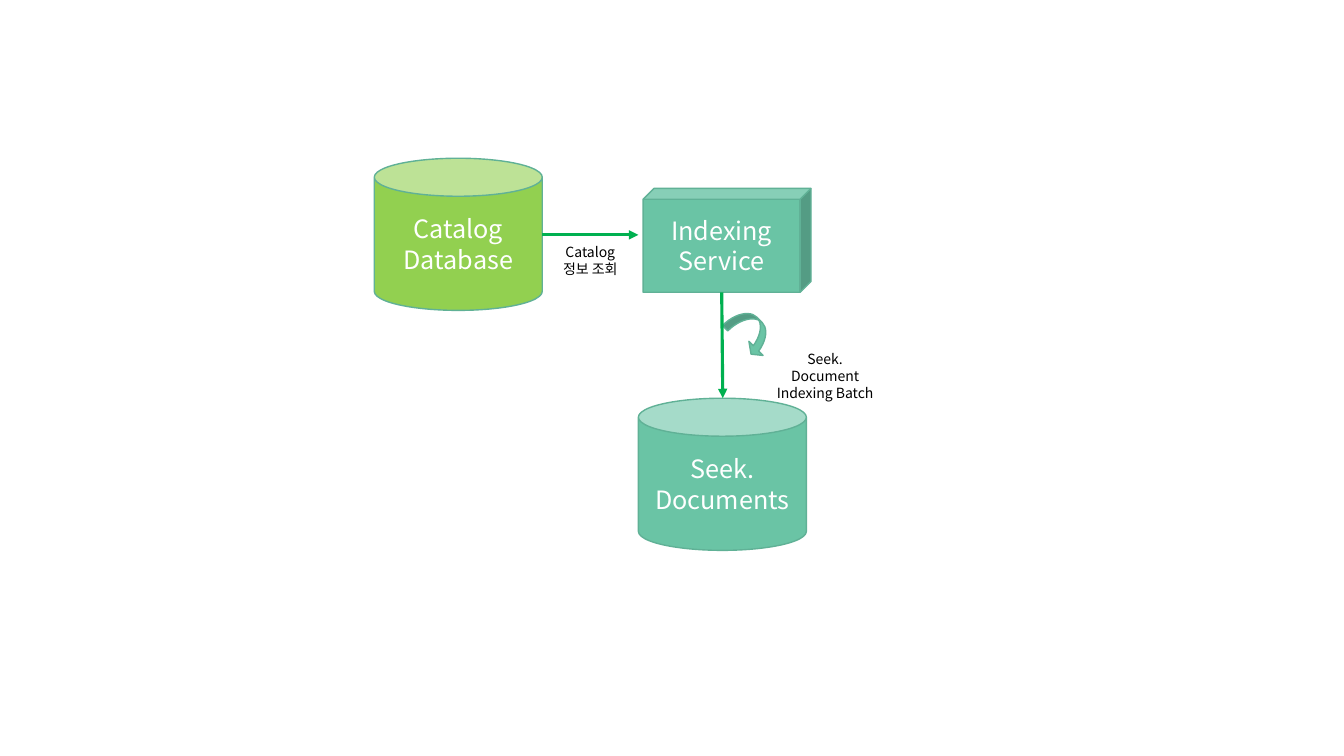
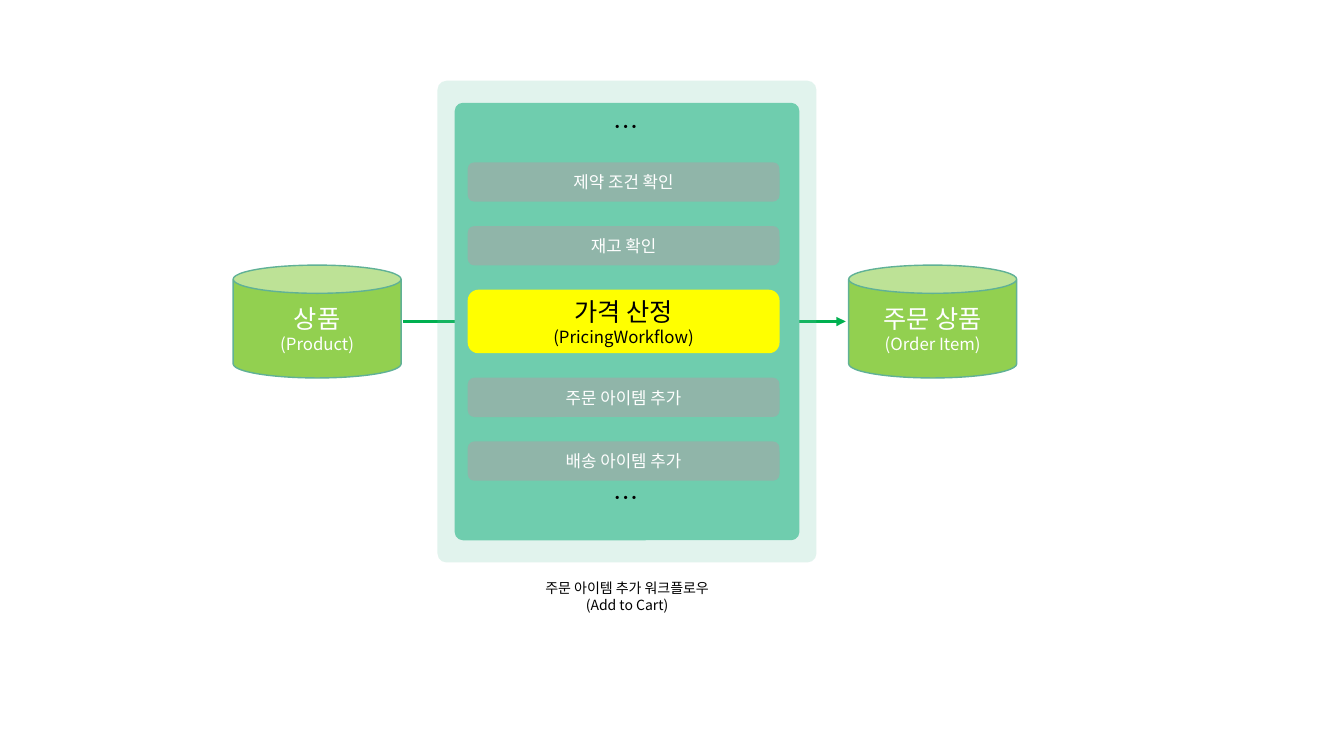
from lxml import etree
from pptx import Presentation
from pptx.dml.color import RGBColor
from pptx.enum.shapes import MSO_CONNECTOR, MSO_SHAPE
from pptx.enum.text import MSO_ANCHOR, MSO_AUTO_SIZE, PP_ALIGN
from pptx.oxml.ns import qn
from pptx.util import Inches, Pt

CAN = MSO_SHAPE.CAN
CUBE = MSO_SHAPE.CUBE
ROUND = MSO_SHAPE.ROUNDED_RECTANGLE
CURVED = MSO_SHAPE.CURVED_LEFT_ARROW
STRAIGHT = MSO_CONNECTOR.STRAIGHT
CENTER, LEFT = PP_ALIGN.CENTER, PP_ALIGN.LEFT
MIDDLE = MSO_ANCHOR.MIDDLE
FIT = MSO_AUTO_SIZE.SHAPE_TO_FIT_TEXT

FONT = "Noto Sans CJK KR"
TEAL, LIME, PANEL, EDGE = "6AC4A5", "92D050", "6FCDAE", "60B196"
GREEN, GRAY, YELLOW = "00B050", "A6A6A6", "FFFF00"
WHITE, BLACK = "FFFFFF", "000000"
rgb = RGBColor.from_string

prs = Presentation()
prs.slide_width, prs.slide_height = Inches(13.33), Inches(7.5)
COL, ROW = prs.slide_width / 100, prs.slide_height / 100


def add_item(s, kind, box, lines=(), fill=None, edge=None, color=WHITE,
             alpha=None, adj=(), align=CENTER):
    x, y, w, h = box
    frame = int(x * COL), int(y * ROW), int(w * COL), int(h * ROW)
    if kind is None:
        sp = s.shapes.add_textbox(*frame)
        sp.text_frame.word_wrap = False
        sp.text_frame.auto_size = FIT
    else:
        sp = s.shapes.add_shape(kind, *frame)
        sp.shadow.inherit = False
        for i, value in enumerate(adj):
            sp.adjustments[i] = value
        sp.fill.solid()
        sp.fill.fore_color.rgb = rgb(fill)
        if alpha:
            clr = sp._element.spPr.find(qn("a:solidFill"))[0]
            etree.SubElement(clr, qn("a:alpha"), val=str(alpha * 1000))
        if edge:
            sp.line.color.rgb = rgb(edge)
            sp.line.width = Pt(1)
        else:
            sp.line.fill.background()
        sp.text_frame.vertical_anchor = MIDDLE
    tf = sp.text_frame
    for i, (text, size) in enumerate(lines):
        p = tf.add_paragraph() if i else tf.paragraphs[0]
        p.alignment = align
        r = p.add_run()
        r.text = text
        r.font.size = Pt(size)
        r.font.name = FONT
        r.font.color.rgb = rgb(color)
        etree.SubElement(r.font._element, qn("a:ea"), typeface=FONT)
    return sp


def add_arrow(s, x1, y1, x2, y2):
    line = s.shapes.add_connector(STRAIGHT, int(x1 * COL), int(y1 * ROW),
                                  int(x2 * COL), int(y2 * ROW))
    line.line.color.rgb = rgb(GREEN)
    line.line.width = Pt(2.25)
    etree.SubElement(line.line._get_or_add_ln(), qn("a:tailEnd"), type="triangle")
    etree.SubElement(line._element.spPr, qn("a:effectLst"))


blank = prs.slide_layouts[6]
NODE_W = 12.5

s = prs.slides.add_slide(blank)
loop = add_item(s, CURVED, (54.75, 40.67, 2.25, 6.67), fill=TEAL, edge=EDGE,
                adj=(0.25, 0.66, 0.25))
loop.rotation = 315
for kind, x, y, h, fill, adj, words in (
    (CAN, 47.5, 52.67, 20.13, TEAL, (), ("Seek.", "Documents")),
    (CUBE, 47.85, 24.93, 13.73, TEAL, (0.105,), ("Indexing", "Service")),
    (CAN, 27.85, 20.93, 20.13, LIME, (), ("Catalog", "Database")),
):
    add_item(s, kind, (x, y, NODE_W, h), [(word, 18) for word in words],
             fill, EDGE, adj=adj)
add_arrow(s, 53.7, 38.67, 53.78, 52.67)
add_arrow(s, 40.35, 31.07, 47.5, 31.07)
for x, y, w, words in (
    (56.85, 45.73, 9.08, ("Seek. Document", "Indexing Batch")),
    (41.03, 31.6, 5.78, ("Catalog", "정보 조회")),
):
    add_item(s, None, (x, y, w, 5.87), [(word, 10) for word in words], color=BLACK)

s = prs.slides.add_slide(blank)
for x, name, label in ((17.35, "상품", "(Product)"), (63.15, "주문 상품", "(Order Item)")):
    add_item(s, CAN, (x, 35.07, NODE_W, 14.93), [(name, 18), (label, 12)], LIME, EDGE)
add_arrow(s, 30, 42.53, 62.93, 42.53)
add_item(s, None, (39.53, 76, 14.25, 5.87),
         [("주문 아이템 추가 워크플로우", 10), ("(Add to Cart)", 10)], color=BLACK)
add_item(s, ROUND, (32.55, 10.67, 28.2, 63.73), fill=TEAL, alpha=20, adj=(0.024,))
add_item(s, ROUND, (33.83, 13.6, 25.65, 57.87), fill=PANEL, adj=(0.024,))

STEP_GAP = 3.23
y = 21.47
for lines, h, fill, color, alpha in (
    ([("제약 조건 확인", 12)], 5.2, GRAY, WHITE, 60),
    ([("재고 확인", 12)], 5.2, GRAY, WHITE, 60),
    ([("가격 산정", 18), ("(PricingWorkflow)", 12)], 8.4, YELLOW, BLACK, None),
    ([("주문 아이템 추가", 12)], 5.2, GRAY, WHITE, 60),
    ([("배송 아이템 추가", 12)], 5.2, GRAY, WHITE, 60),
):
    add_item(s, ROUND, (34.8, y, 23.2, h), lines, fill, color=color, alpha=alpha)
    y += h + STEP_GAP
for y in (63.2, 14.13):
    add_item(s, None, (44.93, y, 3.3, 5.33), [("…", 18)], color=BLACK, align=LEFT)

prs.save("out.pptx")
